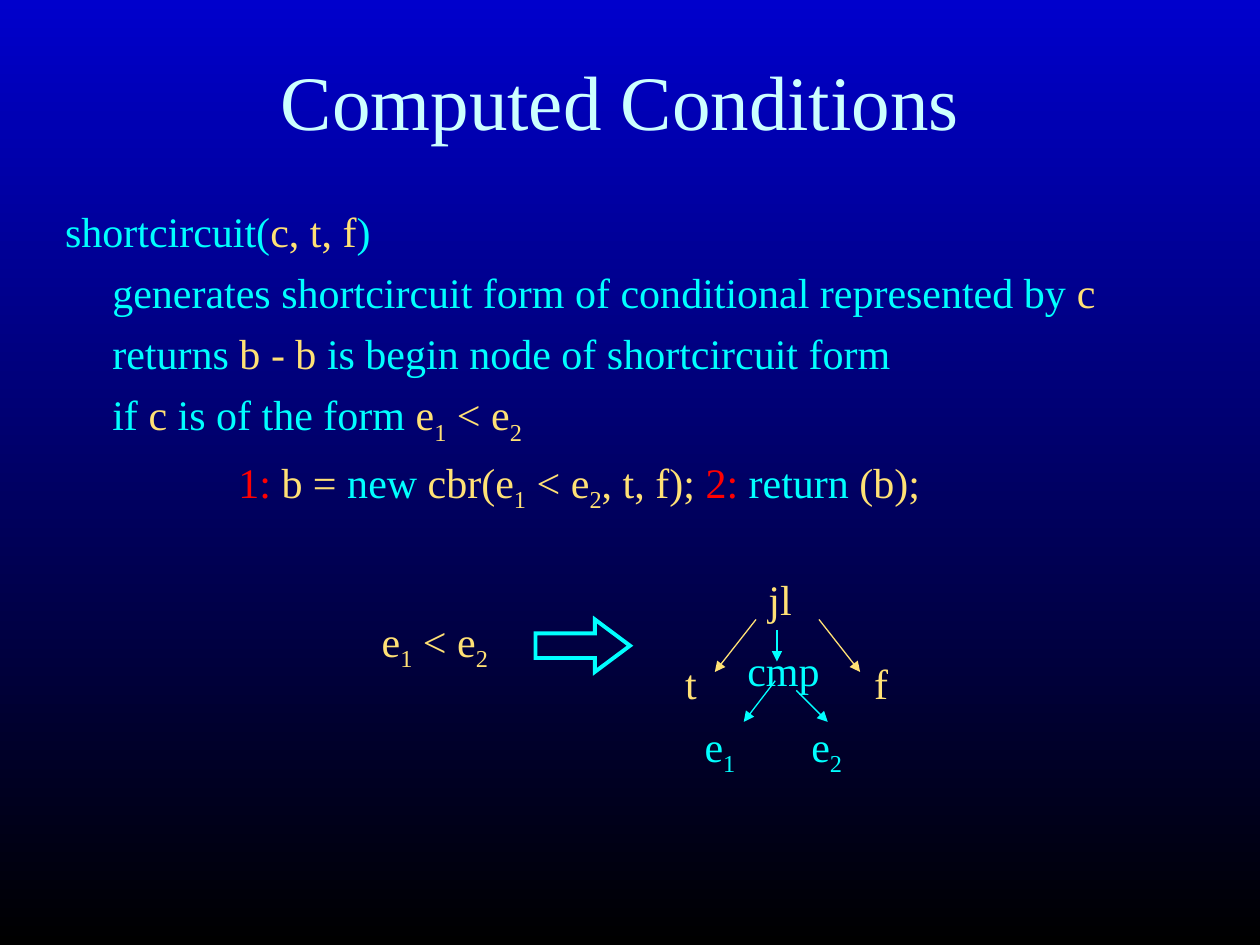
from lxml.etree import SubElement
from pptx import Presentation
from pptx.dml.color import RGBColor
from pptx.enum.shapes import MSO_CONNECTOR, MSO_SHAPE
from pptx.enum.text import MSO_ANCHOR, MSO_AUTO_SIZE, PP_ALIGN
from pptx.oxml.ns import qn
from pptx.util import Pt

FONT = "Times New Roman"
CYAN = RGBColor(0x00, 0xFF, 0xFF)
GOLD = RGBColor(0xFF, 0xE1, 0x75)
RED = RGBColor(0xFF, 0x00, 0x00)
PALE = RGBColor(0xCC, 0xFF, 0xFF)
BLUE = RGBColor(0x00, 0x00, 0xCC)
BLACK = RGBColor(0x00, 0x00, 0x00)

LINES = [
    (0, [("shortcircuit(", CYAN), ("c, t, f", GOLD), (")", CYAN)]),
    (27, [("generates shortcircuit form of conditional represented by ", CYAN),
          ("c", GOLD)]),
    (27, [("returns ", CYAN), ("b - b ", GOLD),
          ("is begin node of shortcircuit form", CYAN)]),
    (27, [("if ", CYAN), ("c", GOLD), (" is of the form ", CYAN),
          ("e_1 < e_2", GOLD)]),
    (99, [("1:", RED), (" b = ", GOLD), ("new ", CYAN),
          ("cbr(e_1 < e_2, t, f); ", GOLD), ("2: ", RED),
          ("return", CYAN), (" (b);", GOLD)]),
]
NODES = [
    ("jl", GOLD, 47.5, 0, 29, 36),
    ("t", GOLD, 0, 48, 21.5, 36),
    ("cmp", CYAN, 35.5, 40.5, 56, 36),
    ("f", GOLD, 108, 48, 22.5, 36),
    ("e_1", CYAN, 11, 84, 32.5, 40),
    ("e_2", CYAN, 72, 84, 32.5, 40),
]
EDGES = [
    (GOLD, 47.5, 30, 24, 60),
    (CYAN, 59.5, 36, 59.5, 54),
    (GOLD, 83.5, 30, 107, 60),
    (CYAN, 58.5, 65, 40.5, 88.5),
    (CYAN, 70.5, 70.5, 88.5, 88.5),
]


def place(shape, box):
    """Move a shape to a box of left, top, width and height in points."""
    shape.left, shape.top, shape.width, shape.height = map(Pt, box)


def write(para, parts):
    """Write coloured parts, where an underscore lowers the next character."""
    para.font.name, para.font.size = FONT, Pt(24)
    for text, color in parts:
        first, *rest = text.split("_")
        bits = [(first, False)]
        for bit in rest:
            bits += [(bit[0], True), (bit[1:], False)]
        for bit, low in bits:
            if bit:
                run = para.add_run()
                run.text = bit
                run.font.color.rgb = color
                if low:
                    run.font._element.set("baseline", "-25000")


def label(slide, text, color, box):
    """Add a one-line text box that grows with its text."""
    shape = slide.shapes.add_textbox(*map(Pt, box))
    frame = shape.text_frame
    frame.word_wrap = False
    frame.auto_size = MSO_AUTO_SIZE.SHAPE_TO_FIT_TEXT
    write(frame.paragraphs[0], [(text, color)])


def edge(slide, color, ends):
    """Add a thin line with an arrowhead at its end."""
    line = slide.shapes.add_connector(MSO_CONNECTOR.STRAIGHT, *map(Pt, ends))
    line.line.color.rgb = color
    line.line.width = Pt(0.75)
    SubElement(line.line._get_or_add_ln(), qn("a:tailEnd"), type="triangle")
    SubElement(line._element.spPr, qn("a:effectLst"))


def back(slide):
    """Fill the background with a vertical gradient."""
    fill = slide.background.fill
    fill.gradient()
    fill.gradient_angle = 270
    for stop, color, pos in zip(fill.gradient_stops, (BLUE, BLACK), (0, 1)):
        stop.color.rgb, stop.position = color, pos


def title(slide, box):
    """Set the centred heading."""
    shape = slide.shapes.title
    place(shape, box)
    frame = shape.text_frame
    frame.text = "Computed Conditions "
    frame.auto_size = MSO_AUTO_SIZE.NONE
    frame.vertical_anchor = MSO_ANCHOR.MIDDLE
    para = frame.paragraphs[0]
    para.alignment = PP_ALIGN.CENTER
    para.font.name, para.font.size = FONT, Pt(44)
    para.font.color.rgb = PALE


def body(slide, box):
    """Fill the body with indented lines of pseudocode."""
    shape = slide.placeholders[1]
    place(shape, box)
    frame = shape.text_frame
    frame.auto_size = MSO_AUTO_SIZE.NONE
    for i, (left, parts) in enumerate(LINES):
        para = frame.add_paragraph() if i else frame.paragraphs[0]
        props = para._p.get_or_add_pPr()
        props.set("marL", str(Pt(left)))
        props.set("indent", "0")
        SubElement(props, qn("a:buNone"))
        para.space_before = Pt(6 if i else 0)
        write(para, parts)


def rule(slide, box):
    """Draw the source condition and the arrow towards its tree."""
    x, y, w, h = box
    label(slide, "e_1 < e_2", GOLD, (x, y, 75, h))
    arrow = slide.shapes.add_shape(
        MSO_SHAPE.RIGHT_ARROW, *map(Pt, (x + w - 54, y + 6, 54, 30)))
    arrow.adjustments[0], arrow.adjustments[1] = 0.47, 0.67
    arrow.shadow.inherit = False
    arrow.fill.background()
    arrow.line.color.rgb = CYAN
    arrow.line.width = Pt(2.25)
    SubElement(arrow.line._get_or_add_ln(), qn("a:miter"), lim="800000")


def tree(slide, x, y):
    """Draw the branch tree from its top left corner."""
    for text, color, left, top, w, h in NODES:
        label(slide, text, color, (x + left, y + top, w, h))
    for color, x1, y1, x2, y2 in EDGES:
        edge(slide, color, (x + x1, y + y1, x + x2, y + y2))


def main():
    """Build and save the slide."""
    deck = Presentation()
    deck.slide_width, deck.slide_height = Pt(720), Pt(540)
    slide = deck.slides.add_slide(deck.slide_layouts[1])
    back(slide)
    title(slide, (30, 12, 660, 90))
    body(slide, (30, 114, 678, 186))
    rule(slide, (211, 348, 149, 40))
    tree(slide, 384.5, 324)
    deck.save("out.pptx")


if __name__ == "__main__":
    main()
